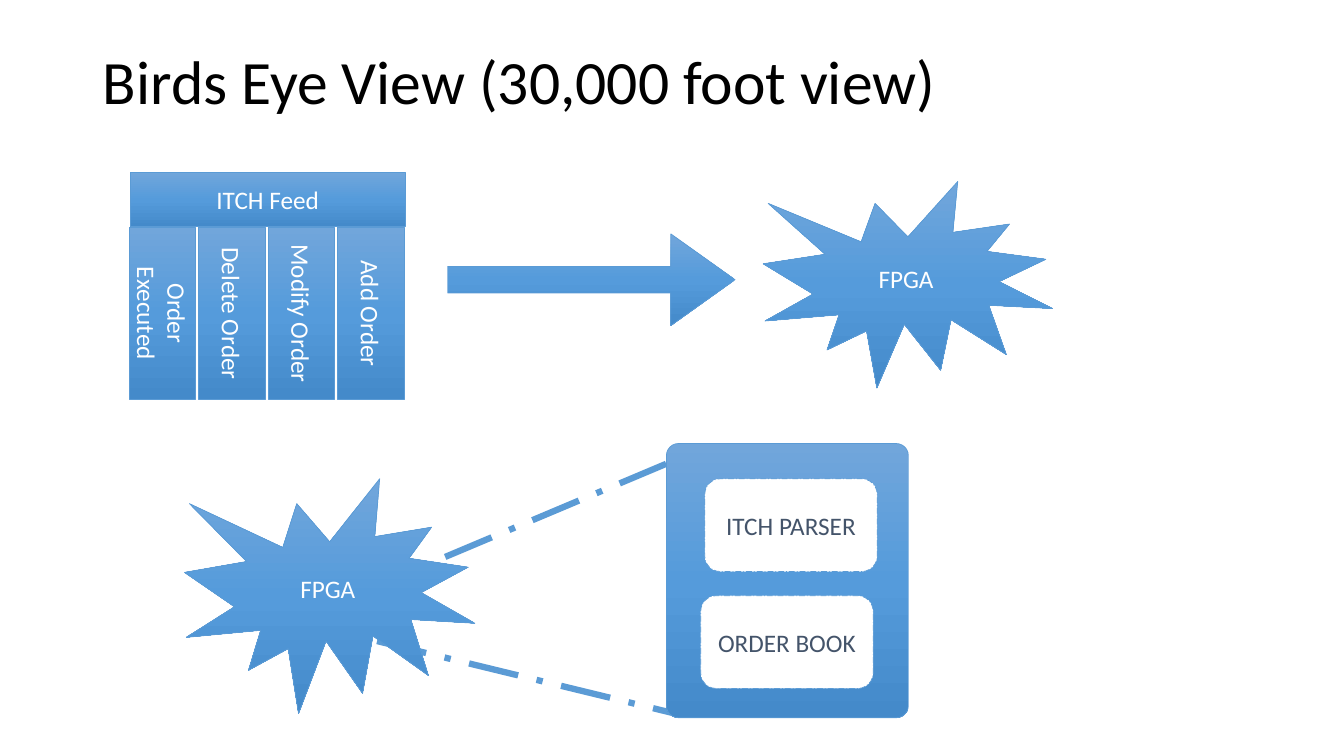
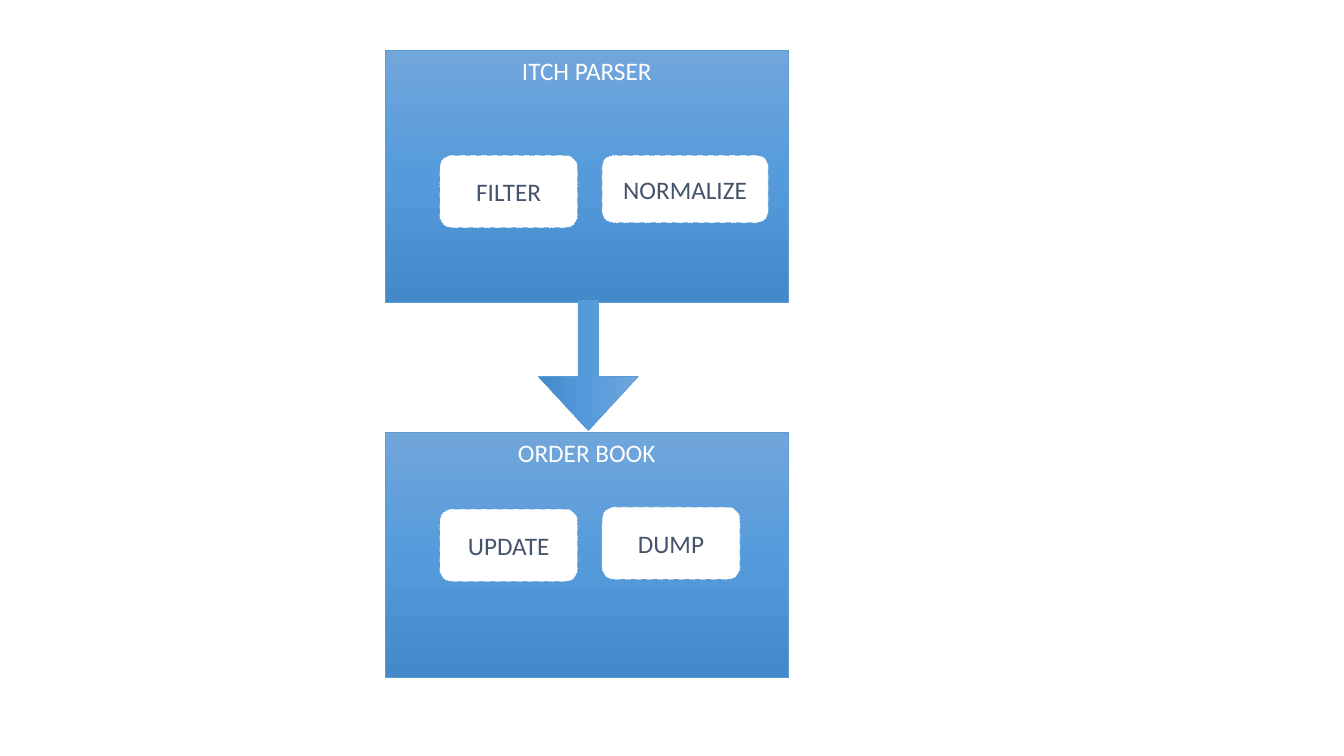
from copy import deepcopy

from pptx import Presentation
from pptx.dml.color import RGBColor
from pptx.enum.dml import MSO_LINE
from pptx.enum.shapes import MSO_CONNECTOR, MSO_SHAPE
from pptx.enum.text import MSO_ANCHOR, PP_ALIGN
from pptx.oxml.ns import qn
from pptx.util import Inches, Pt
from lxml.etree import SubElement

COLORS = {
    "title": "000000",
    "light": "71A6DB",
    "middle": "559BDB",
    "dark": "448ACA",
    "line": "5B9BD5",
    "white": "FFFFFF",
    "slate": "44546A",
}
FONT = "Calibri"
TITLE_LAYOUT, BLANK_LAYOUT = 5, 6
DOWNWARD, RIGHTWARD = 270, 0


def rgb(name):
    return RGBColor.from_string(COLORS[name])


class Deck:
    def __init__(self):
        self.prs = Presentation()
        self.prs.slide_width = Inches(13.33)
        self.prs.slide_height = Inches(7.5)
        self.s = None

    def slide(self, layout):
        self.s = self.prs.slides.add_slide(self.prs.slide_layouts[layout])

    def label(self, sp, text, size, color, align, anchor):
        tf = sp.text_frame
        tf.word_wrap = True
        tf.vertical_anchor = anchor
        tf.text = text
        p = tf.paragraphs[0]
        p.alignment = align
        for r in p.runs:
            r.font.name = FONT
            r.font.size = Pt(size)
            r.font.color.rgb = rgb(color)
        return p

    def title(self, text):
        sp = self.s.shapes.title
        sp.left, sp.top = Inches(0.92), Inches(0.25)
        sp.width, sp.height = Inches(11.5), Inches(1.18)
        p = self.label(sp, text, 44, "title", PP_ALIGN.LEFT, MSO_ANCHOR.MIDDLE)
        p.line_spacing = 0.9

    def outline(self, line, width, dashed):
        line.color.rgb = rgb("line")
        line.width = Pt(width)
        if dashed:
            line.dash_style = MSO_LINE.LONG_DASH_DOT

    def shape(self, kind, box, text, color, anchor, adj, dashed=False):
        sp = self.s.shapes.add_shape(kind, *map(Inches, box))
        sp.shadow.inherit = False
        for i, value in enumerate(adj):
            sp.adjustments[i] = value
        self.outline(sp.line, 0.5, dashed)
        if text:
            self.label(sp, text, 18, color, PP_ALIGN.CENTER, anchor)
        return sp

    def block(self, kind, box, text="", adj=(), rotation=0,
              angle=DOWNWARD, anchor=MSO_ANCHOR.MIDDLE):
        sp = self.shape(kind, box, text, "white", anchor, adj)
        sp.rotation = rotation
        sp.fill.gradient()
        sp.fill.gradient_angle = angle
        first = sp._element.spPr.find(qn("a:gradFill")).find(qn("a:gsLst"))[0]
        first.addnext(deepcopy(first))
        names = ("light", "middle", "dark")
        for i, (stop, name) in enumerate(zip(sp.fill.gradient_stops, names)):
            stop.position = i / 2
            stop.color.rgb = rgb(name)

    def panel(self, box, text):
        self.block(MSO_SHAPE.ROUNDED_RECTANGLE, box, text, adj=(0,),
                   anchor=MSO_ANCHOR.TOP)

    def module(self, box, text):
        sp = self.shape(MSO_SHAPE.ROUNDED_RECTANGLE, box, text, "slate",
                        MSO_ANCHOR.MIDDLE, (), dashed=True)
        sp.fill.solid()
        sp.fill.fore_color.rgb = rgb("white")

    def connector(self, start, end):
        c = self.s.shapes.add_connector(
            MSO_CONNECTOR.STRAIGHT, *map(Inches, start + end))
        self.outline(c.line, 4.5, True)
        SubElement(c._element.spPr, qn("a:effectLst"))


deck = Deck()

deck.slide(TITLE_LAYOUT)
deck.title("Birds Eye View (30,000 foot view)")
deck.block(MSO_SHAPE.RECTANGLE, (1.29, 1.71, 2.73, 0.54), "ITCH Feed")
messages = ("Order Executed", "Delete Order", "Modify Order", "Add Order")
for i, message in enumerate(messages):
    deck.block(MSO_SHAPE.RECTANGLE, (0.76 + 0.69 * i, 2.78, 1.7, 0.66),
               message, rotation=90, angle=RIGHTWARD)
deck.block(MSO_SHAPE.RIGHT_ARROW, (4.44, 2.32, 2.85, 0.91), adj=(0.29, 0.7))
deck.block(MSO_SHAPE.EXPLOSION1, (7.57, 1.8, 2.87, 2.05), "FPGA")
deck.connector((3.55, 5.89), (6.92, 4.47))
deck.connector((3.74, 6.36), (6.74, 7.09))
deck.block(MSO_SHAPE.ROUNDED_RECTANGLE, (6.61, 4.4, 2.4, 2.72), adj=(0.05,))
deck.module((6.99, 4.75, 1.71, 0.92), "ITCH PARSER")
deck.module((6.95, 5.91, 1.71, 0.92), "ORDER BOOK")
deck.block(MSO_SHAPE.EXPLOSION1, (1.83, 4.75, 2.88, 2.33), "FPGA")

deck.slide(BLANK_LAYOUT)
deck.panel((3.82, 0.5, 4, 2.5), "ITCH PARSER")
deck.module((4.36, 1.54, 1.37, 0.72), "FILTER")
deck.module((5.97, 1.54, 1.65, 0.67), "NORMALIZE")
deck.panel((3.82, 4.29, 4, 2.43), "ORDER BOOK")
deck.module((4.36, 5.05, 1.37, 0.72), "UPDATE")
deck.module((5.97, 5.03, 1.37, 0.72), "DUMP")
deck.block(MSO_SHAPE.RIGHT_ARROW, (5.19, 3.13, 1.29, 0.99),
           adj=(0.2, 0.54), rotation=90)

deck.prs.save("out.pptx")
